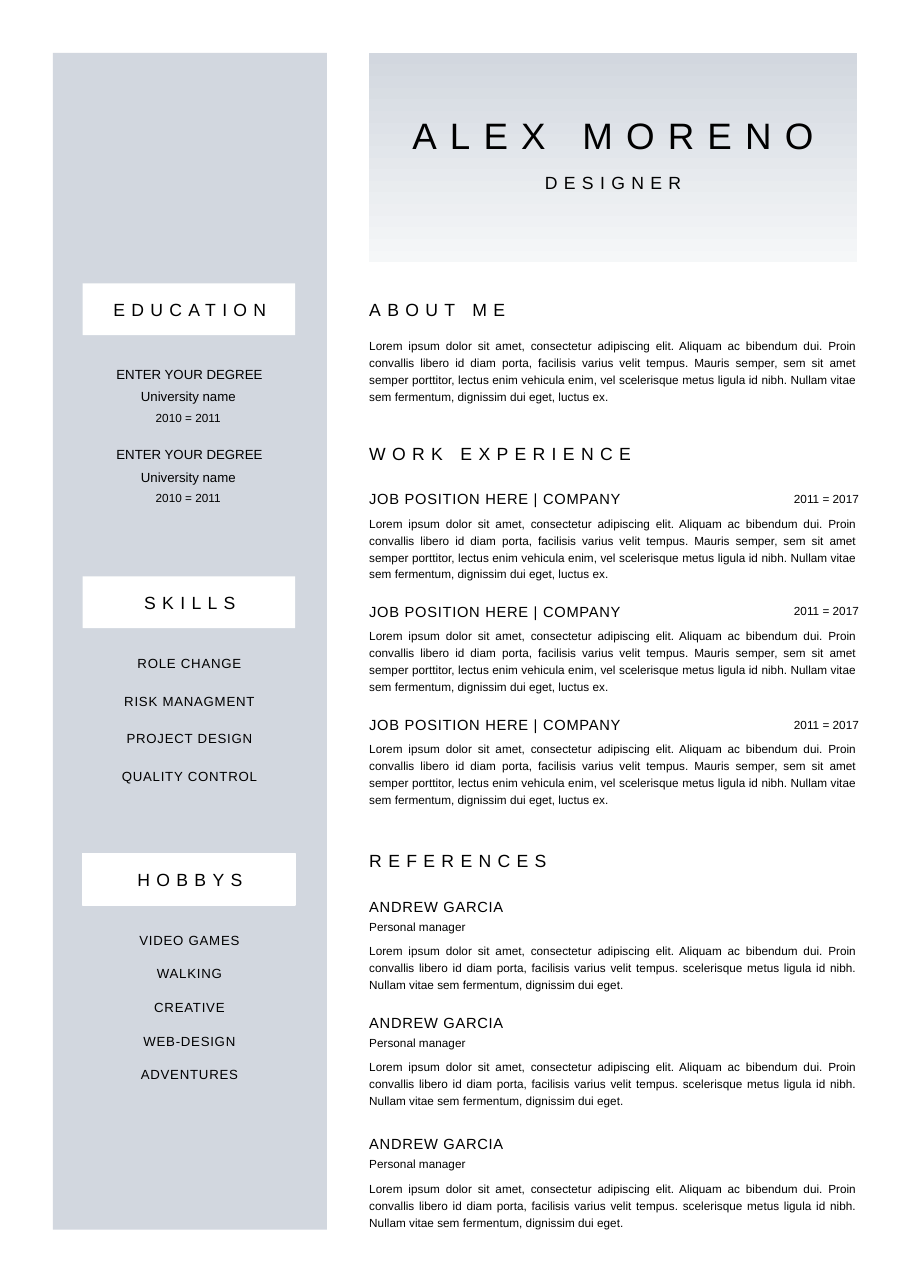
from pptx import Presentation
from pptx.dml.color import RGBColor
from pptx.enum.shapes import MSO_SHAPE
from pptx.enum.text import MSO_ANCHOR, PP_ALIGN
from pptx.util import Inches, Pt

RECT = MSO_SHAPE.RECTANGLE
TOP, MIDDLE = MSO_ANCHOR.TOP, MSO_ANCHOR.MIDDLE
LEFT, CENTER, RIGHT = PP_ALIGN.LEFT, PP_ALIGN.CENTER, PP_ALIGN.RIGHT
JUSTIFY = PP_ALIGN.JUSTIFY

FONT = "Arial"
BLACK, WHITE, GREY, PALE = "000000", "FFFFFF", "D2D7DF", "F5F7F8"
MAIN_X, MAIN_W = 3.49, 4.61
ROW_H, HEADING_H = 0.28, 0.3

INTRO = (
    "Lorem ipsum dolor sit amet, consectetur adipiscing elit. Aliquam ac "
    "bibendum dui. Proin convallis libero id diam porta, facilisis varius "
    "velit tempus. "
)
LONG_TEXT = INTRO + (
    "Mauris semper, sem sit amet semper porttitor, lectus enim vehicula enim, "
    "vel scelerisque metus ligula id nibh. Nullam vitae sem fermentum, "
    "dignissim dui eget, luctus ex."
)
SHORT_TEXT = INTRO + (
    "scelerisque metus ligula id nibh. Nullam vitae sem fermentum, "
    "dignissim dui eget."
)
SKILLS = ["ROLE CHANGE", "RISK MANAGMENT", "PROJECT DESIGN", "QUALITY CONTROL"]
HOBBIES = ["VIDEO GAMES", "WALKING", "CREATIVE", "WEB-DESIGN", "ADVENTURES"]


def rgb(value):
    return RGBColor.from_string(value)


def add_rect(s, x, y, w, h, fill, line=None):
    sp = s.shapes.add_shape(RECT, Inches(x), Inches(y), Inches(w), Inches(h))
    sp.shadow.inherit = False
    sp.fill.solid()
    sp.fill.fore_color.rgb = rgb(fill)
    if line:
        sp.line.color.rgb = rgb(line)
        sp.line.width = Pt(1)
    else:
        sp.line.fill.background()
    return sp


def add_text(s, x, y, w, h, text, size, align=LEFT, spacing=0, anchor=MIDDLE):
    sp = s.shapes.add_textbox(Inches(x), Inches(y), Inches(w), Inches(h))
    tf = sp.text_frame
    tf.word_wrap = True
    tf.vertical_anchor = anchor
    tf.margin_left = tf.margin_right = tf.margin_top = tf.margin_bottom = 0
    tf.text = text
    p = tf.paragraphs[0]
    p.alignment = align
    r = p.runs[0]
    r.font.name = FONT
    r.font.size = Pt(size)
    r.font.color.rgb = rgb(BLACK)
    if spacing:
        r._r.get_or_add_rPr().set("spc", str(round(spacing * 100)))
    return p


def add_heading(s, y, text):
    add_text(s, MAIN_X, y, 2.92, HEADING_H, text, 12, spacing=4.3)


def add_body(s, y, h, text):
    p = add_text(s, MAIN_X, y, MAIN_W, h, text, 8, JUSTIFY, anchor=TOP)
    p.line_spacing = 1.2


def add_side_heading(s, y, text, line=None):
    add_rect(s, 0.78, y, 2.01, 0.49, WHITE, line)
    add_text(s, 0.95, y + 0.1, 1.69, HEADING_H, text, 12, CENTER, 4.3)


def add_side_list(s, first, last, items):
    step = (last - first) / (len(items) - 1)
    for i, item in enumerate(items):
        add_text(s, 0.9, first + i * step, 1.78, ROW_H, item, 9, CENTER, 0.5)


def add_degree(s, y):
    add_text(s, 0.87, y, 1.84, ROW_H, "ENTER YOUR DEGREE", 9, CENTER)
    add_text(s, 0.78, y + 0.21, 2, ROW_H, "University name", 9, CENTER)
    add_text(s, 0.78, y + 0.41, 2, ROW_H, "2010 = 2011", 8, CENTER)


def add_job(s, y):
    add_text(s, MAIN_X, y, 2.6, ROW_H, "JOB POSITION HERE | COMPANY", 10, spacing=0.5)
    add_body(s, y + 0.28, 0.69, LONG_TEXT)
    add_text(s, 7.18, y, 0.94, ROW_H, "2011 = 2017", 8, RIGHT)


def add_reference(s, y):
    add_text(s, MAIN_X, y, 2, ROW_H, "ANDREW GARCIA", 10, spacing=0.5)
    add_body(s, y + 0.47, 0.53, SHORT_TEXT)
    add_text(s, MAIN_X, y + 0.19, 0.94, ROW_H, "Personal manager", 8)


def add_banner(s):
    sp = add_rect(s, MAIN_X, 0.5, MAIN_W, 1.98, GREY)
    sp.fill.gradient()
    sp.fill.gradient_angle = 270
    for stop, color, position in zip(sp.fill.gradient_stops, (GREY, PALE), (0, 1)):
        stop.color.rgb = rgb(color)
        stop.position = position
    add_text(s, 3.61, 0.67, 4.37, 1.21, "ALEX MORENO", 25, CENTER, 9)
    add_text(s, 4.95, 1.58, 1.69, HEADING_H, "DESIGNER", 12, CENTER, 4.3)


def add_sidebar(s):
    add_rect(s, 0.5, 0.5, 2.59, 11.13, GREY)
    add_side_heading(s, 2.68, "EDUCATION")
    for y in (3.4, 4.16):
        add_degree(s, y)
    add_side_heading(s, 5.45, "SKILLS")
    add_side_list(s, 6.13, 7.2, SKILLS)
    add_side_heading(s, 8.07, "HOBBYS", WHITE)
    add_side_list(s, 8.75, 10.02, HOBBIES)


def add_main_column(s):
    add_banner(s)
    add_heading(s, 2.78, "ABOUT ME")
    add_body(s, 3.18, 0.69, LONG_TEXT)
    add_heading(s, 4.14, "WORK EXPERIENCE")
    for y in (4.58, 5.64, 6.71):
        add_job(s, y)
    add_heading(s, 7.99, "REFERENCES")
    for y in (8.43, 9.53, 10.68):
        add_reference(s, y)


def main():
    prs = Presentation()
    prs.slide_width = Pt(620)
    prs.slide_height = Pt(877)
    s = prs.slides.add_slide(prs.slide_layouts[6])
    add_sidebar(s)
    add_main_column(s)
    prs.save("out.pptx")


if __name__ == "__main__":
    main()
